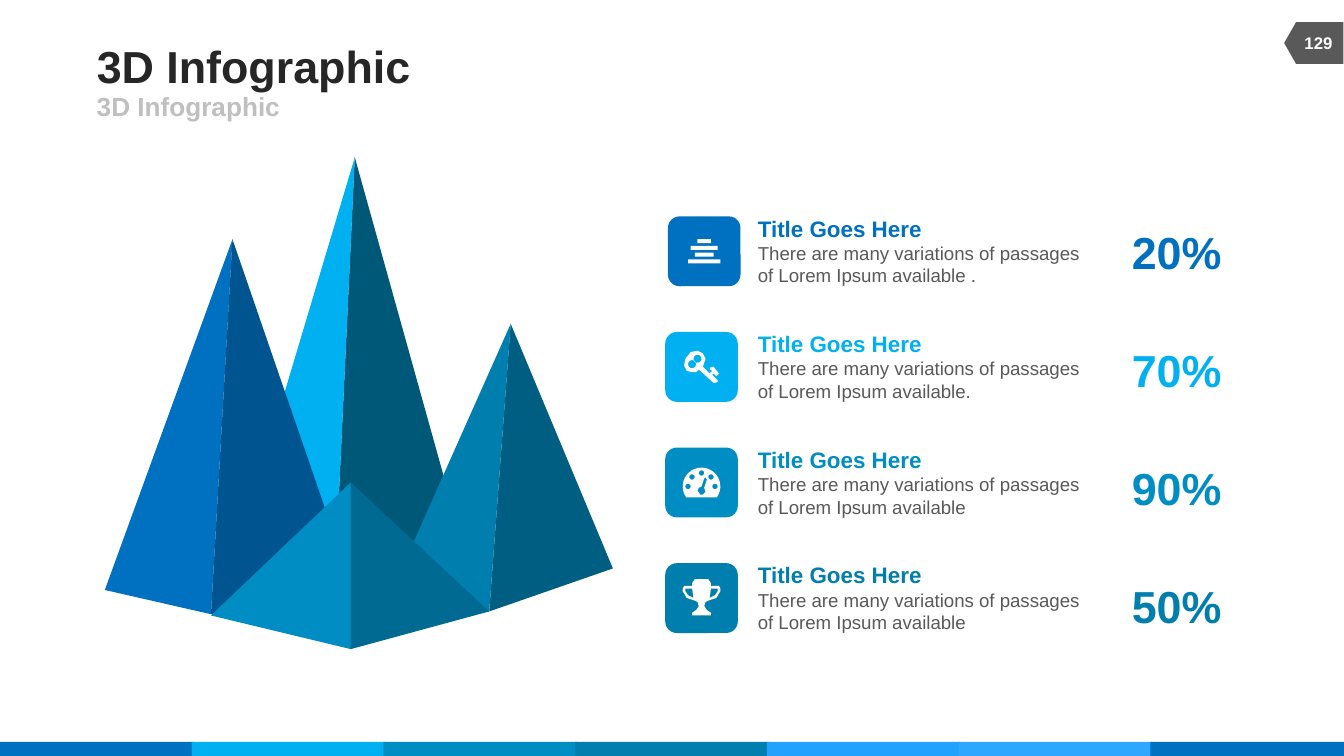
from dataclasses import dataclass
from math import cos, radians, sin

from pptx import Presentation
from pptx.dml.color import RGBColor
from pptx.enum.shapes import MSO_SHAPE
from pptx.enum.text import MSO_ANCHOR, MSO_AUTO_SIZE, PP_ALIGN
from pptx.util import Inches, Pt

RECTANGLE = MSO_SHAPE.RECTANGLE
ROUNDED = MSO_SHAPE.ROUNDED_RECTANGLE
PAGE_TAG = MSO_SHAPE.FLOWCHART_OFFPAGE_CONNECTOR
TOP, MIDDLE, BOTTOM = MSO_ANCHOR.TOP, MSO_ANCHOR.MIDDLE, MSO_ANCHOR.BOTTOM
LEFT, CENTER = PP_ALIGN.LEFT, PP_ALIGN.CENTER
FIXED = MSO_AUTO_SIZE.NONE
SLIDE_WIDTH = 10
SLIDE_HEIGHT = SLIDE_WIDTH * 9 / 16


@dataclass(frozen=True)
class Theme:
    """Colours, font and type sizes of the slide."""
    font: str = "Arial"
    blue: str = "0070C0"
    sky: str = "00B0F0"
    teal: str = "008DC3"
    deep: str = "007EAE"
    azure: str = "23A1FF"
    light_azure: str = "2FA6FF"
    white: str = "FFFFFF"
    ink: str = "262626"
    gray: str = "595959"
    pale: str = "BFBFBF"
    headline: int = 24
    subtitle: int = 14
    heading: int = 12
    body: int = 10
    page: int = 9


THEME = Theme()

FACETS = [
    ("005878", [(2.48, 4.57), (2.64, 1.17), (3.51, 4.29)]),
    (THEME.sky, [(2.64, 1.17), (2.48, 4.57), (1.69, 4.35)]),
    (THEME.deep, [(3.8, 2.41), (3.64, 4.55), (2.91, 4.41)]),
    ("005E82", [(3.64, 4.55), (3.8, 2.41), (4.56, 4.23)]),
    (THEME.blue, [(1.73, 1.78), (1.57, 4.57), (0.78, 4.39)]),
    ("005490", [(1.57, 4.57), (1.73, 1.78), (2.61, 4.34)]),
    (THEME.teal, [(2.61, 4.83), (1.57, 4.58), (2.61, 3.59)]),
    ("006A92", [(2.61, 3.59), (3.64, 4.55), (2.61, 4.83)]),
]


def arc(x, y, radius, start=0, end=360):
    """Return points along a circular arc, angles in degrees."""
    angles = [radians(start + (end - start) * step / 24) for step in range(25)]
    return [(x + radius * cos(a), y + radius * sin(a)) for a in angles]


def mirror(points, axis):
    """Return the points reflected across a vertical axis, in reverse order."""
    return [(2 * axis - x, y) for x, y in reversed(points)]


def bars_icon():
    """Return the contours of four stacked bars."""
    contours = []
    for row, half in enumerate((0.05, 0.1, 0.07, 0.12)):
        top = 1.78 + 0.05 * row
        contours.append([(5.24 - half, top), (5.24 + half, top),
                         (5.24 + half, top + 0.03), (5.24 - half, top + 0.03)])
    return contours


def key_icon():
    """Return the contours of a key with a double eye."""
    outline = [
        (5.33, 2.8), (5.31, 2.78), (5.3, 2.79), (5.34, 2.83), (5.34, 2.84),
        (5.32, 2.85), (5.31, 2.85), (5.2, 2.75), (5.18, 2.77), (5.15, 2.77),
        (5.11, 2.76), (5.09, 2.72), (5.1, 2.67), (5.14, 2.62), (5.19, 2.61),
        (5.23, 2.63), (5.25, 2.67), (5.23, 2.73), (5.28, 2.78), (5.3, 2.76),
        (5.28, 2.75), (5.29, 2.73), (5.31, 2.73), (5.35, 2.78)]
    return [outline, arc(5.19, 2.67, 0.03), arc(5.15, 2.71, 0.03)]


def gauge_icon():
    """Return the contours of a dial with five marks and a needle."""
    needle = [
        (5.26, 3.57), (5.25, 3.55), (5.24, 3.56), (5.22, 3.62), (5.2, 3.63),
        (5.19, 3.65), (5.21, 3.68), (5.23, 3.68), (5.25, 3.66), (5.24, 3.63)]
    marks = [arc(5.22 + 0.1 * cos(radians(a)), 3.62 + 0.1 * sin(radians(a)), 0.02)
             for a in range(180, 361, 45)]
    return [arc(5.22, 3.62, 0.14, 145, 395), needle, *marks]


def trophy_icon():
    """Return the contours of a symmetric trophy with two handles."""
    axis = 5.22
    half = [
        (5.17, 4.31), (5.15, 4.34), (5.15, 4.36), (5.09, 4.36), (5.08, 4.38),
        (5.08, 4.4), (5.11, 4.45), (5.17, 4.47), (5.19, 4.48), (5.2, 4.51),
        (5.18, 4.54), (5.15, 4.56), (5.15, 4.58)]
    handle = [(5.15, 4.38), (5.1, 4.38), (5.1, 4.4), (5.12, 4.43), (5.16, 4.45)]
    return [half + mirror(half, axis), handle, mirror(handle, axis)]


def paint(shape, color):
    """Give a shape a flat fill without line or shadow."""
    shape.shadow.inherit = False
    shape.fill.solid()
    shape.fill.fore_color.rgb = RGBColor.from_string(color)
    shape.line.fill.background()


def add_block(slide, kind, box, color):
    """Add a flat preset shape."""
    block = slide.shapes.add_shape(kind, *map(Inches, box))
    paint(block, color)
    return block


def add_outline(slide, contours, color):
    """Add a flat freeform made of closed contours."""
    first, *others = [[(Inches(x), Inches(y)) for x, y in c] for c in contours]
    builder = slide.shapes.build_freeform(*first[0], scale=1.0)
    builder.add_line_segments(first[1:])
    for contour in others:
        builder.move_to(*contour[0])
        builder.add_line_segments(contour[1:])
    paint(builder.convert_to_shape(), color)


def write(frame, lines, anchor=TOP, align=LEFT, inset=True, wrap=True):
    """Fill a text frame with one run per line of (text, size, color, bold)."""
    frame.auto_size = FIXED
    frame.word_wrap = wrap
    frame.vertical_anchor = anchor
    if not inset:
        frame.margin_left = frame.margin_right = 0
        frame.margin_top = frame.margin_bottom = 0
    for index, (text, size, color, bold) in enumerate(lines):
        paragraph = frame.add_paragraph() if index else frame.paragraphs[0]
        paragraph.alignment = align
        run = paragraph.add_run()
        run.text = text
        run.font.name = THEME.font
        run.font.size = Pt(size)
        run.font.bold = bold
        run.font.color.rgb = RGBColor.from_string(color)


def add_text(slide, box, lines, **layout):
    """Add a text box."""
    write(slide.shapes.add_textbox(*map(Inches, box)).text_frame, lines, **layout)


def add_header(slide):
    """Add the title, subtitle and page tag."""
    title = slide.shapes.title
    title.left, title.top, title.width, title.height = map(
        Inches, (0.72, 0.29, 6.17, 0.39))
    write(title.text_frame, [("3D Infographic", THEME.headline, THEME.ink, True)],
          anchor=MIDDLE, inset=False)
    add_text(slide, (0.72, 0.68, 4.5, 0.22),
             [("3D Infographic", THEME.subtitle, THEME.pale, True)],
             anchor=MIDDLE, inset=False)
    add_block(slide, PAGE_TAG, (9.62, 0.1, 0.31, 0.44), THEME.gray).rotation = 90
    add_text(slide, (9.6, 0.17, 0.42, 0.3), [("129", THEME.page, THEME.white, True)],
             anchor=MIDDLE, align=CENTER)


def add_footer(slide):
    """Add the colour strip along the bottom edge."""
    colors = (THEME.blue, THEME.sky, THEME.teal, THEME.deep,
              THEME.azure, THEME.light_azure, THEME.blue)
    width, top = 1.44, 5.52
    step = (SLIDE_WIDTH - width) / (len(colors) - 1)
    for index, color in enumerate(colors):
        add_block(slide, RECTANGLE,
                  (index * step, top, width, SLIDE_HEIGHT - top), color)


def add_item(slide, row, badge_left, color, icon, ending, share):
    """Add one legend row with badge, icon, text and percentage."""
    offset = 0.86 * row
    add_block(slide, ROUNDED, (badge_left, 1.61 + offset, 0.54, 0.52), color)
    add_outline(slide, icon, THEME.white)
    passage = "There are many variations of passages of Lorem Ipsum available" + ending
    add_text(slide, (5.54, 1.55 + offset, 2.71, 0.64),
             [("Title Goes Here", THEME.heading, color, True),
              (passage, THEME.body, THEME.gray, False)])
    add_text(slide, (8.42, 1.67 + 0.88 * row, 0.67, 0.4),
             [(share, THEME.headline, color, True)],
             anchor=BOTTOM, align=CENTER, inset=False, wrap=False)


def main():
    """Build and save the slide."""
    deck = Presentation()
    deck.slide_width, deck.slide_height = Inches(SLIDE_WIDTH), Inches(SLIDE_HEIGHT)
    slide = deck.slides.add_slide(deck.slide_layouts[5])
    add_footer(slide)
    add_header(slide)
    for color, corners in FACETS:
        add_outline(slide, [corners], color)
    items = [(4.97, THEME.blue, bars_icon(), " .", "20%"),
             (4.95, THEME.sky, key_icon(), ".", "70%"),
             (4.95, THEME.teal, gauge_icon(), "", "90%"),
             (4.95, THEME.deep, trophy_icon(), "", "50%")]
    for row, item in enumerate(items):
        add_item(slide, row, *item)
    deck.save("out.pptx")


if __name__ == "__main__":
    main()
